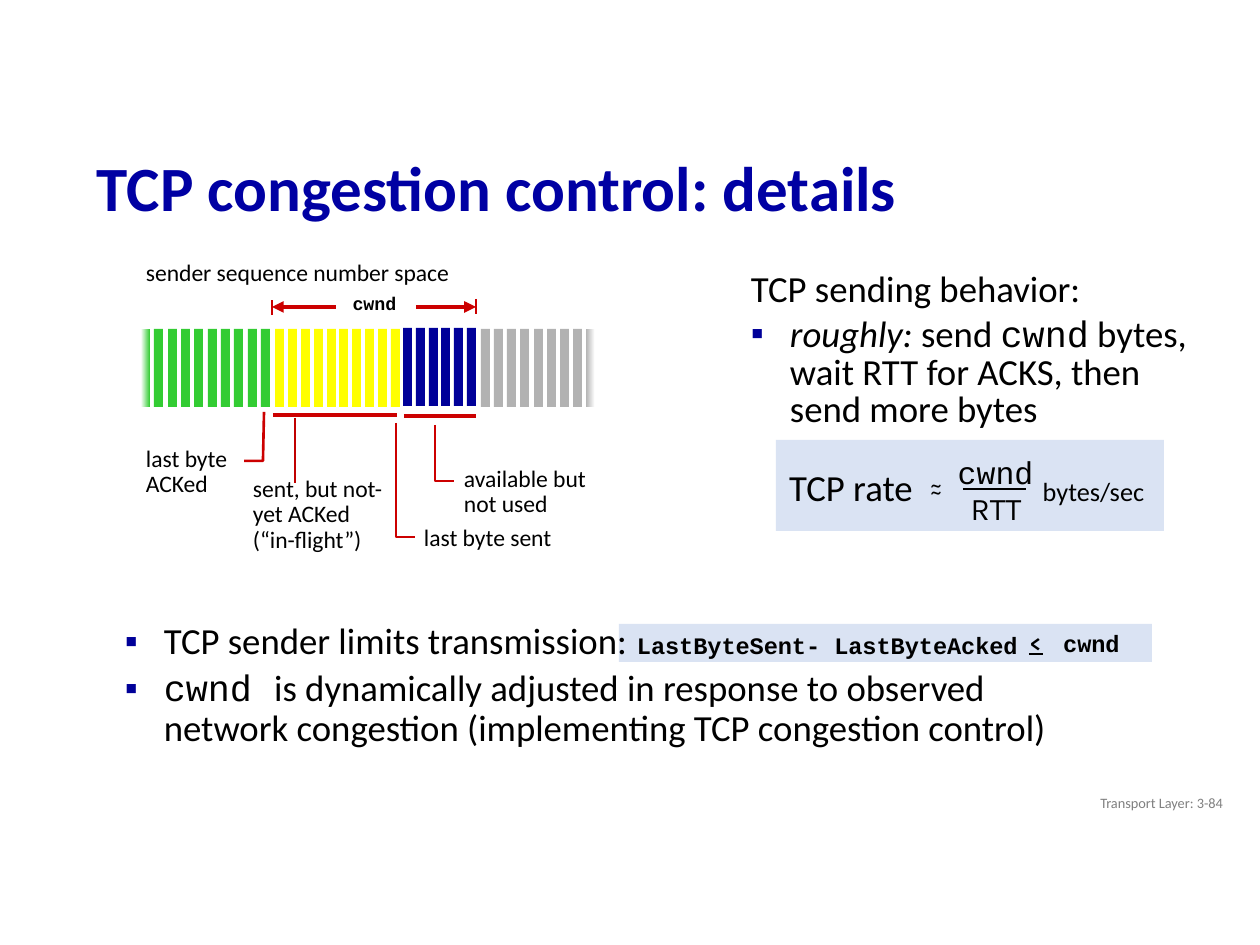
from lxml import etree
from pptx import Presentation
from pptx.dml.color import RGBColor
from pptx.enum.shapes import MSO_CONNECTOR, MSO_SHAPE
from pptx.enum.text import MSO_ANCHOR, PP_ALIGN
from pptx.oxml.ns import qn
from pptx.util import Emu, Pt

LEFT, CENTER, RIGHT = PP_ALIGN.LEFT, PP_ALIGN.CENTER, PP_ALIGN.RIGHT
TOP, MIDDLE = MSO_ANCHOR.TOP, MSO_ANCHOR.MIDDLE
RECTANGLE, STRAIGHT = MSO_SHAPE.RECTANGLE, MSO_CONNECTOR.STRAIGHT

SANS, MONO, KARLA = "Calibri", "Courier New", "Karla"
BLACK = RGBColor(0, 0, 0)
WHITE = RGBColor(255, 255, 255)
TITLE_BLUE = RGBColor(0x00, 0x00, 0xA3)
NAVY = RGBColor(0x00, 0x00, 0x99)
PALE_BLUE = RGBColor(0xDA, 0xE3, 0xF3)
GREEN = RGBColor(0x33, 0xCC, 0x33)
YELLOW = RGBColor(0xFF, 0xFF, 0x00)
GRAY = RGBColor(0xB2, 0xB2, 0xB2)
FOOTER_GRAY = RGBColor(0x80, 0x80, 0x80)
RED = RGBColor(0xCC, 0x00, 0x00)
DARK_RED = RGBColor(0xC0, 0x00, 0x00)

PX = 914400 / 126  # EMU in one px


def px(length):
    return Emu(round(length * PX))


def add_text(text, left, top, width, height, size=13.5, font=SANS, color=BLACK,
             bold=False, align=LEFT, anchor=TOP, wrap=True, spacing=1.0,
             before=0, margins=(13, 6), bulleted=()):
    """text: a string, or a list of paragraphs made of (text, font, italic) runs."""
    frame = slide.shapes.add_textbox(px(left), px(top), px(width), px(height)).text_frame
    frame.word_wrap = wrap
    frame.vertical_anchor = anchor
    frame.margin_left = frame.margin_right = px(margins[0])
    frame.margin_top = frame.margin_bottom = px(margins[1])
    if isinstance(text, str):
        text = [[(line, font, False)] for line in text.split("\n")]
    for number, runs in enumerate(text):
        paragraph = frame.add_paragraph() if number else frame.paragraphs[0]
        if number in bulleted:
            properties = paragraph._p.get_or_add_pPr()
            properties.set("marL", str(px(39)))
            properties.set("indent", str(-px(39)))
            bullet_color = etree.SubElement(properties, qn("a:buClr"))
            etree.SubElement(bullet_color, qn("a:srgbClr"), val=str(NAVY))
            etree.SubElement(properties, qn("a:buFont"), typeface="Arial")
            etree.SubElement(properties, qn("a:buChar"), char="▪")
        paragraph.alignment = align
        paragraph.line_spacing = spacing
        if number and before:
            paragraph.space_before = Pt(before)
        for words, face, italic in runs:
            run = paragraph.add_run()
            run.text = words
            run.font.name = face
            run.font.size = Pt(size)
            run.font.bold = bold
            run.font.italic = italic
            run.font.color.rgb = color


prs = Presentation()
prs.slide_width, prs.slide_height = px(1260), px(945)
slide = prs.slides.add_slide(prs.slide_layouts[6])

# Title
add_text("TCP congestion control: details", 84, 145, 1177, 92, size=36,
         color=TITLE_BLUE, bold=True, anchor=MIDDLE, spacing=0.9)

# Panels behind the two formulas
for left, top, width, height in ((619, 624, 533, 38), (776, 440, 388, 91)):
    panel = slide.shapes.add_shape(RECTANGLE, px(left), px(top), px(width), px(height))
    panel.shadow.inherit = False
    panel.fill.solid()
    panel.fill.fore_color.rgb = PALE_BLUE
    panel.line.fill.background()

# Sequence number space: colour, first and last left edge, count, top
byte_groups = (
    (GREEN, 141, 261, 10, 329),
    (YELLOW, 275, 391, 10, 329),
    (NAVY, 403, 467, 6, 328),
    (GRAY, 481, 586, 9, 329),
)
for color, first, last, count, top in byte_groups:
    for i in range(count):
        left = round(first + i * (last - first) / (count - 1))
        cell = slide.shapes.add_shape(RECTANGLE, px(left), px(top), px(9), px(78))
        cell.shadow.inherit = False
        cell.line.fill.background()
        fades_in = color == GREEN and i == 0
        fades_out = color == GRAY and i == count - 1
        if fades_in or fades_out:
            cell.fill.gradient()
            cell.fill.gradient_angle = 0
            ends = (WHITE, color) if fades_in else (color, WHITE)
            for stop, end_color in zip(cell.fill.gradient_stops, ends):
                stop.color.rgb = end_color
        else:
            cell.fill.solid()
            cell.fill.fore_color.rgb = color

# Labels of the sequence number space
add_text("sender sequence number space", 133, 252, 339, 42, wrap=False)
add_text("cwnd", 330, 289, 89, 33, size=10.5, font=MONO, bold=True,
         align=CENTER, wrap=False, spacing=0.9)
add_text("last byte\nACKed", 133, 441, 108, 64, wrap=False, spacing=0.9)
add_text("sent, but not-yet ACKed\n(“in-flight”)", 240, 471, 171, 89, spacing=0.9)
add_text("last byte sent", 411, 520, 166, 39, spacing=0.9)
add_text("available but not used", 451, 461, 166, 64, spacing=0.9)

# Elbow leaders from the labels
elbows = (
    ((264, 412), (263, 461), (244, 461)),
    ((396, 423), (396, 537), (415, 537)),
    ((435, 425), (435, 481), (454, 481)),
)
for start, *rest in elbows:
    builder = slide.shapes.build_freeform(px(start[0]), px(start[1]), scale=1.0)
    builder.add_line_segments([(px(x), px(y)) for x, y in rest], close=False)
    elbow = builder.convert_to_shape()
    elbow.shadow.inherit = False
    elbow.fill.background()
    elbow.line.color.rgb = RED
    elbow.line.width = Pt(1.5)

# Sending behavior and rate formula
add_text([[("TCP sending behavior:", SANS, False)],
          [("roughly:", SANS, True), (" send ", SANS, False), ("cwnd", MONO, False),
           (" bytes, wait RTT for ACKS, then send more bytes", SANS, False)]],
         742, 268, 475, 253, size=21, spacing=0.85, before=4.2, margins=(9, 5),
         bulleted=(1,))
add_text("TCP rate", 766, 459, 170, 57, size=21, align=CENTER, wrap=False)
for top in (464, 471):
    add_text("~", 888, top, 96, 42, font=KARLA, align=CENTER)
add_text("cwnd", 930, 447, 131, 50, size=18, font=MONO, align=CENTER, wrap=False)
add_text("RTT", 945, 483, 102, 50, size=18, font=KARLA, align=CENTER, wrap=False)
add_text("bytes/sec", 1019, 469, 149, 44, size=15, align=CENTER, wrap=False)

# Transmission limit
add_text([[("TCP sender limits transmission:", SANS, False)],
          [("cwnd ", MONO, False),
           ("is dynamically adjusted in response to observed network congestion "
            "(implementing TCP congestion control)", SANS, False)]],
         116, 618, 995, 175, size=21, spacing=0.9, before=4.2, margins=(9, 5),
         bulleted=(0, 1))
add_text("LastByteSent- LastByteAcked", 624, 629, 455, 37, font=MONO, bold=True,
         spacing=0.85)
add_text("<", 1014, 625, 43, 38, size=12, font=KARLA, bold=True, align=CENTER,
         wrap=False)
add_text("cwnd", 1036, 623, 111, 42, font=MONO, bold=True, align=CENTER, wrap=False)

# Straight lines: start, end, colour, width, arrowhead at the end
lines = (
    ((416, 307), (476, 307), RED, 2.25, True),       # window arrows and end ticks
    ((476, 299), (476, 314), RED, 0.75, False),
    ((336, 307), (272, 307), RED, 2.25, True),
    ((272, 315), (272, 300), RED, 0.75, False),
    ((273, 415), (397, 415), RED, 2.25, False),      # in-flight range
    ((404, 416), (476, 416), RED, 2.25, False),      # available range
    ((295, 418), (295, 483), DARK_RED, 1.5, False),  # in-flight leader
    ((963, 489), (1026, 489), BLACK, 1.5, False),    # fraction bar
    ((1029, 654), (1043, 654), BLACK, 1.5, False),   # bar of the ≤ sign
)
for (x1, y1), (x2, y2), color, width, arrow in lines:
    line = slide.shapes.add_connector(STRAIGHT, px(x1), px(y1), px(x2), px(y2))
    line.line.color.rgb = color
    line.line.width = Pt(width)
    if arrow:
        etree.SubElement(line.line._get_or_add_ln(), qn("a:tailEnd"), type="triangle")
    etree.SubElement(line._element.spPr, qn("a:effectLst"))

# Footer
add_text("Transport Layer: 3-84", 953, 784, 283, 38, size=8.2, color=FOOTER_GRAY,
         align=RIGHT, anchor=MIDDLE)

prs.save("out.pptx")
